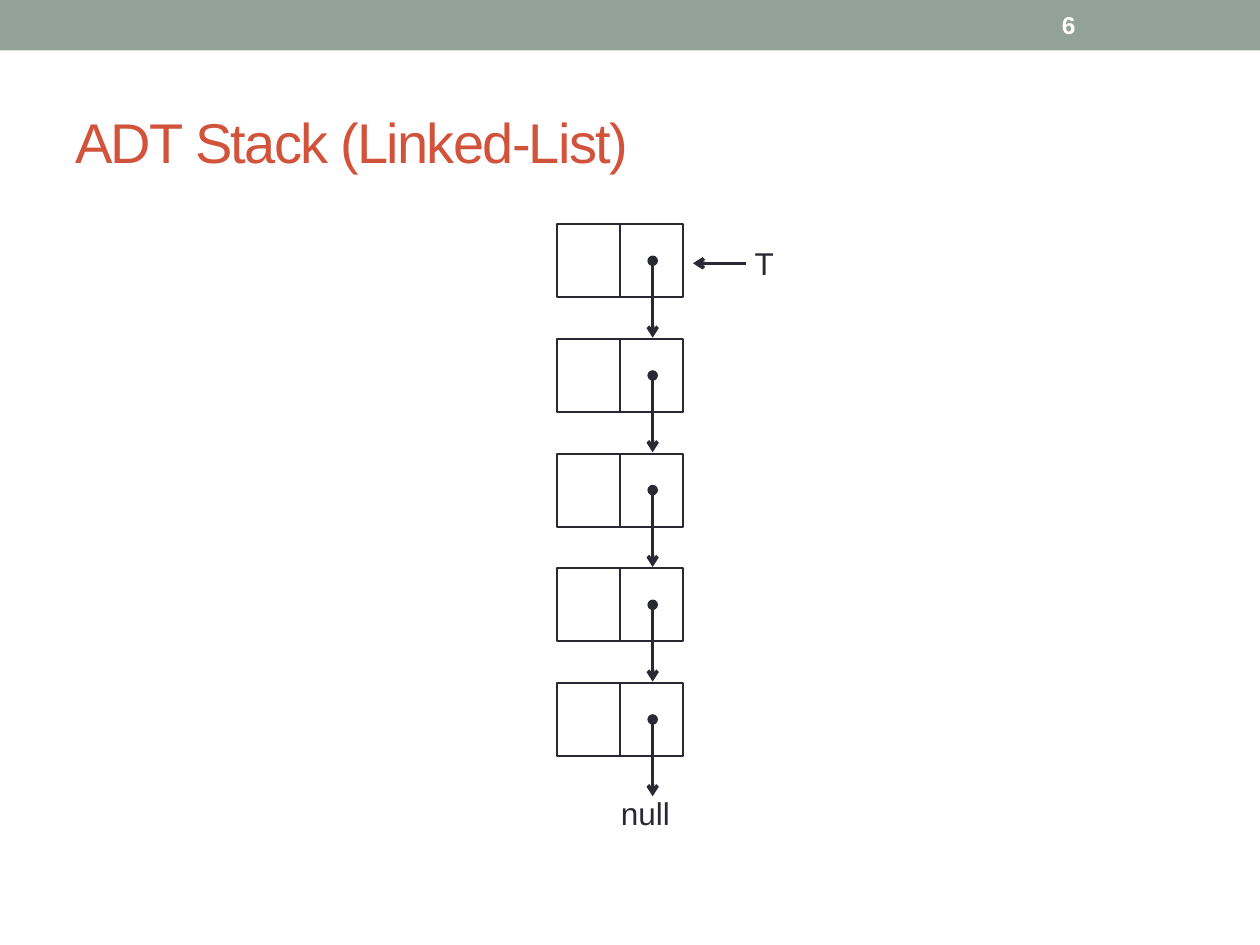
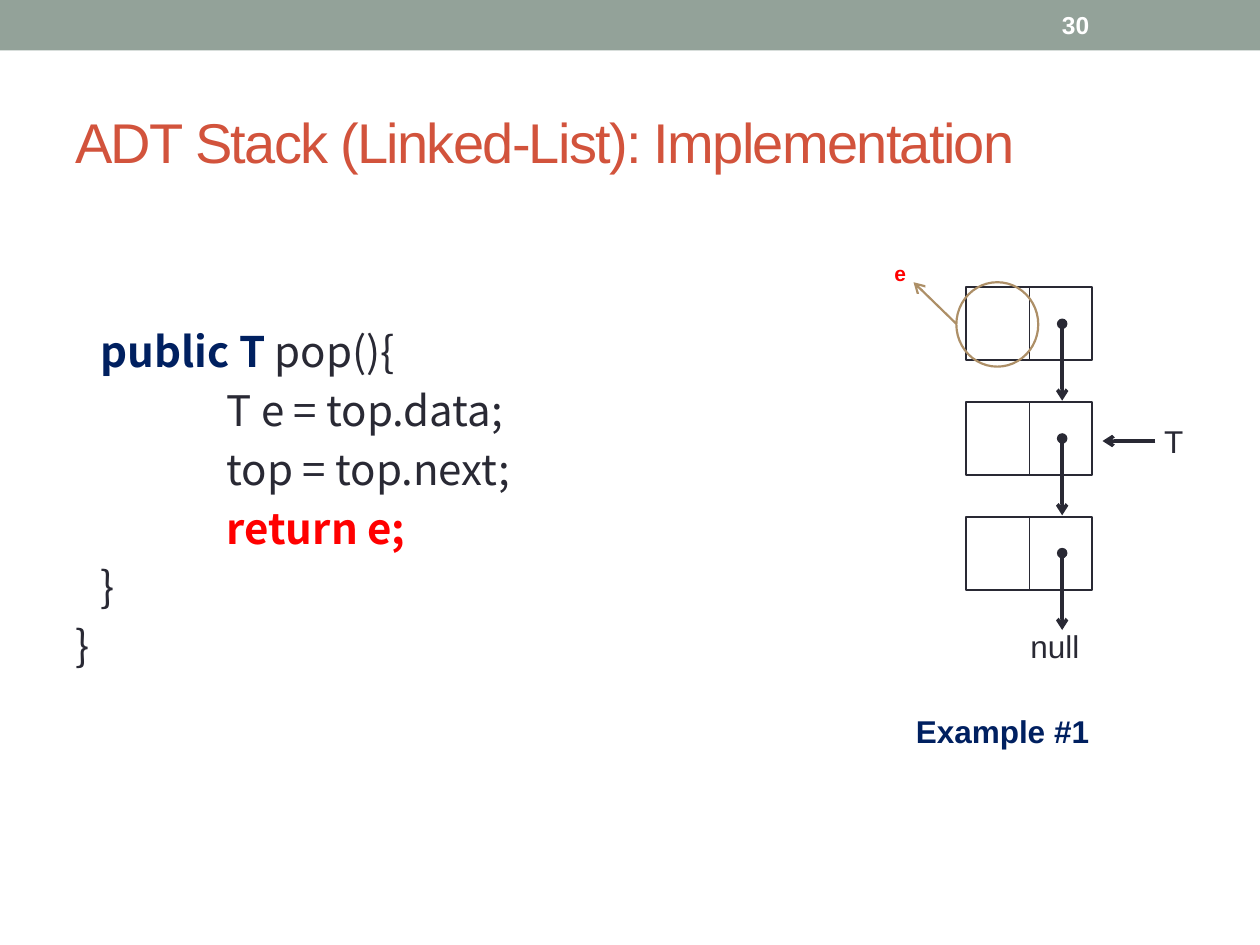
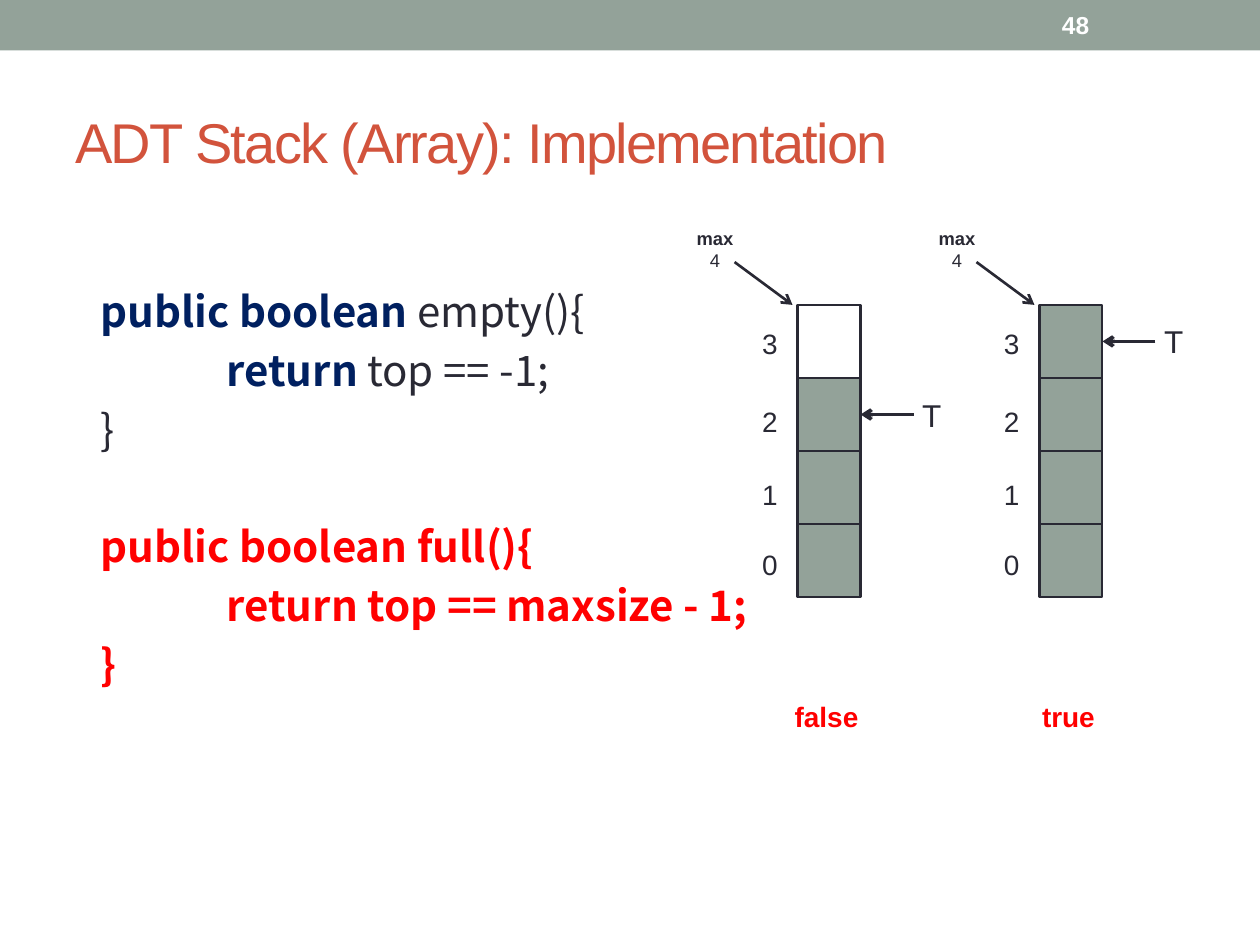
"""Build three slides on the stack ADT as a linked list and as an array."""
from dataclasses import dataclass

import lxml.etree
import pptx
import pptx.dml.color
import pptx.enum.shapes
import pptx.enum.text
import pptx.oxml.ns
import pptx.util

Inches = pptx.util.Inches
Pt = pptx.util.Pt
qn = pptx.oxml.ns.qn
SHAPES = pptx.enum.shapes.MSO_SHAPE
ALIGN = pptx.enum.text.PP_ALIGN
ANCHOR = pptx.enum.text.MSO_ANCHOR

COLORS = {
    "band": "93A299", "title": "D2533C", "ink": "292934", "paper": "FFFFFF",
    "keyword": "002060", "accent": "FF0000", "ring": "AD8F67",
}
TEXT_FONT = "Arial"
CODE_FONT = "Noto Sans CJK SC"
CODE_SIZE = 24
CODE_PITCH = 33.6
NODE_WIDTH, NODE_HEIGHT, NODE_PITCH = 1, 0.58, 0.91
CELL_WIDTH, CELL_HEIGHT = 0.5, 0.58
ARRAY_TOP = 2.42
INDEX_TOPS = (2.54, 3.16, 3.74, 4.3)


@dataclass(frozen=True)
class Run:
    """A stretch of text in one style."""
    text: str
    color: str = "ink"
    bold: bool = False


@dataclass(frozen=True)
class CodeLine:
    """A line of code with its indent in inches and the blank lines above it."""
    indent: float
    runs: tuple[Run, ...]
    gap: int = 0


@dataclass(frozen=True)
class LinkedStack:
    """A column of linked nodes with the top pointer at one of them."""
    left: float
    top: float
    nodes: int
    pointed: int


@dataclass(frozen=True)
class ArrayStack:
    """An array of four cells, its top cell and the answer of full()."""
    left: float
    top_cell: int
    answer: str


def rgb(color: str) -> pptx.dml.color.RGBColor:
    """Return the named colour."""
    return pptx.dml.color.RGBColor.from_string(COLORS[color])


def add_run(paragraph, run: Run, size: float, font: str = TEXT_FONT):
    """Append one styled run to a paragraph."""
    part = paragraph.add_run()
    part.text = run.text
    part.font.name = font
    part.font.size = Pt(size)
    part.font.bold = run.bold
    part.font.color.rgb = rgb(run.color)
    properties = part.font._element
    for tag in ("a:ea", "a:cs"):
        lxml.etree.SubElement(properties, qn(tag)).set("typeface", font)
    return part


def add_frame(slide, left: float, top: float, width: float, height: float, wrap: bool = False):
    """Add an empty text box and return its text frame."""
    box = slide.shapes.add_textbox(Inches(left), Inches(top), Inches(width), Inches(height))
    box.text_frame.word_wrap = wrap
    return box.text_frame


def add_label(slide, left: float, top: float, width: float, height: float,
              size: float, *runs: Run, centred: bool = False) -> None:
    """Add a short label, one line per run."""
    paragraph = add_frame(slide, left, top, width, height).paragraphs[0]
    if centred:
        paragraph.alignment = ALIGN.CENTER
    for index, run in enumerate(runs):
        if index:
            paragraph.add_line_break()
        add_run(paragraph, run, size)


def add_outline(slide, kind, left: float, top: float, width: float, height: float,
                fill: str | None, line: str | None = "ink"):
    """Add a preset shape with a flat fill and a thin outline."""
    shape = slide.shapes.add_shape(kind, Inches(left), Inches(top), Inches(width), Inches(height))
    shape.shadow.inherit = False
    if fill:
        shape.fill.solid()
        shape.fill.fore_color.rgb = rgb(fill)
    else:
        shape.fill.background()
    if line:
        shape.line.color.rgb = rgb(line)
        shape.line.width = Pt(1.25)
    else:
        shape.line.fill.background()
    return shape


def add_line(slide, start: tuple[float, float], end: tuple[float, float], weight: float,
             color: str = "ink", head: str = "", tail: str = ""):
    """Add a straight line with optional ends."""
    line = slide.shapes.add_connector(
        pptx.enum.shapes.MSO_CONNECTOR.STRAIGHT,
        Inches(start[0]), Inches(start[1]), Inches(end[0]), Inches(end[1]))
    line.line.color.rgb = rgb(color)
    line.line.width = Pt(weight)
    stroke = line.line._get_or_add_ln()
    for tag, ending in (("a:headEnd", head), ("a:tailEnd", tail)):
        if ending:
            lxml.etree.SubElement(stroke, qn(tag)).set("type", ending)
    lxml.etree.SubElement(line._element.spPr, qn("a:effectLst"))
    return line


def add_page(deck, title: str, number: int):
    """Add a slide with the band, the title and the number."""
    slide = deck.slides.add_slide(deck.slide_layouts[6])
    add_outline(slide, SHAPES.RECTANGLE, 0, 0, 10, 0.4, "band", None)
    heading = add_frame(slide, 0.5, 0.58, 9, 1.08, wrap=True)
    heading.vertical_anchor = ANCHOR.MIDDLE
    words = add_run(heading.paragraphs[0], Run(title, "title"), 32)
    words.font._element.set("spc", "-100")
    page_number = add_frame(slide, 8.33, 0.02, 1.17, 0.36, wrap=True)
    page_number.vertical_anchor = ANCHOR.MIDDLE
    add_run(page_number.paragraphs[0], Run(str(number), "paper", True), 14)
    return slide


def add_code(slide, top: float, lines: tuple[CodeLine, ...]) -> None:
    """Write lines of code at a fixed pitch."""
    frame = add_frame(slide, 0.5, top, 9, 7.08 - top, wrap=True)
    for index, line in enumerate(lines):
        paragraph = frame.add_paragraph() if index else frame.paragraphs[0]
        paragraph.line_spacing = Pt(CODE_PITCH)
        paragraph.space_before = Pt(CODE_PITCH * line.gap)
        paragraph._p.get_or_add_pPr().set("marL", str(Inches(line.indent)))
        for run in line.runs:
            add_run(paragraph, run, CODE_SIZE, CODE_FONT)


def add_top_pointer(slide, tip: float, tail: float, y: float):
    """Add the arrow marked T that shows the top of a stack."""
    add_label(slide, tail - 0.03, y - 0.2, 0.36, 0.4, 18, Run("T"))
    return add_line(slide, (tail, y), (tip, y), 2, tail="arrow")


def add_linked_stack(slide, stack: LinkedStack) -> None:
    """Draw the nodes, their links, the null end and the top pointer."""
    for index in range(stack.nodes):
        top = stack.top + index * NODE_PITCH
        middle, link = stack.left + NODE_WIDTH / 2, stack.left + 0.76
        node = add_outline(slide, SHAPES.RECTANGLE, stack.left, top,
                           NODE_WIDTH, NODE_HEIGHT, "paper")
        divider = add_line(slide, (middle, top), (middle, top + NODE_HEIGHT), 0.75)
        divider.begin_connect(node, 0)
        divider.end_connect(node, 2)
        add_line(slide, (link, top + 0.29), (link, top + 0.9), 2, head="oval", tail="arrow")
    last_top = stack.top + (stack.nodes - 1) * NODE_PITCH
    add_label(slide, stack.left + 0.41, last_top + 0.83, 0.66, 0.4, 18, Run("null"))
    right = stack.left + NODE_WIDTH
    add_top_pointer(slide, right + 0.08, right + 0.5,
                    stack.top + stack.pointed * NODE_PITCH + 0.31)


def add_array_stack(slide, stack: ArrayStack) -> None:
    """Draw the cells with indices, the maximum, the top pointer and the answer."""
    left, right = stack.left, stack.left + CELL_WIDTH
    for row, index_top in enumerate(INDEX_TOPS):
        index = len(INDEX_TOPS) - 1 - row
        top = ARRAY_TOP + row * CELL_HEIGHT
        cell = add_outline(slide, SHAPES.RECTANGLE, left, top, CELL_WIDTH, CELL_HEIGHT,
                           "band" if index <= stack.top_cell else "paper")
        add_label(slide, left - 0.38, index_top, 0.34, 0.37, 16, Run(str(index)))
        if index == stack.top_cell:
            pointer = add_top_pointer(slide, right, right + 0.42, top + CELL_HEIGHT / 2)
            pointer.end_connect(cell, 3)
    add_line(slide, (left - 0.5, 2.08), (left - 0.04, ARRAY_TOP), 1.5, tail="arrow")
    add_label(slide, left - 0.92, 1.75, 0.53, 0.47, 10.5,
              Run("max", bold=True), Run("4"), centred=True)
    add_label(slide, left - 0.27, 5.5, 1, 0.37, 16,
              Run(stack.answer, "accent", True), centred=True)


def build_linked_list(deck) -> None:
    """Build the slide that shows the linked list."""
    slide = add_page(deck, "ADT Stack (Linked-List)", 6)
    add_linked_stack(slide, LinkedStack(left=4.42, top=1.78, nodes=5, pointed=0))


def build_pop(deck) -> None:
    """Build the slide that shows pop() returning its element."""
    slide = add_page(deck, "ADT Stack (Linked-List): Implementation", 30)
    add_code(slide, 2.47, (
        CodeLine(0.2, (Run("public T", "keyword", True), Run(" pop(){"))),
        CodeLine(1.2, (Run("T e = top.data;"),)),
        CodeLine(1.2, (Run("top = top.next;"),)),
        CodeLine(1.2, (Run("return e;", "accent", True),)),
        CodeLine(0.2, (Run("}"),)),
        CodeLine(0, (Run("}"),)),
    ))
    add_linked_stack(slide, LinkedStack(left=7.67, top=2.28, nodes=3, pointed=1))
    add_outline(slide, SHAPES.OVAL, 7.59, 2.24, 0.65, 0.67, None, "ring")
    add_line(slide, (7.59, 2.57), (7.25, 2.24), 1.25, "ring", tail="arrow")
    add_label(slide, 7, 2.02, 0.25, 0.3, 12, Run("e", "accent", True))
    add_label(slide, 7.17, 5.6, 1.64, 0.4, 18, Run("Example #1", "keyword", True))


def build_full(deck) -> None:
    """Build the slide that shows empty() and full() on an array."""
    slide = add_page(deck, "ADT Stack (Array): Implementation", 48)
    add_code(slide, 2.15, (
        CodeLine(0.2, (Run("public boolean ", "keyword", True), Run("empty(){"))),
        CodeLine(1.2, (Run("return", "keyword", True), Run(" top == -1;"))),
        CodeLine(0.2, (Run("}"),)),
        CodeLine(0.2, (Run("public boolean full(){", "accent", True),), gap=1),
        CodeLine(1.2, (Run("return top == maxsize - 1;", "accent", True),)),
        CodeLine(0.2, (Run("}", "accent", True),)),
    ))
    for stack in (ArrayStack(8.25, 3, "true"), ArrayStack(6.33, 2, "false")):
        add_array_stack(slide, stack)


def main() -> None:
    """Build and save the deck."""
    deck = pptx.Presentation()
    deck.slide_width, deck.slide_height = Inches(10), Inches(7.5)
    build_linked_list(deck)
    build_pop(deck)
    build_full(deck)
    deck.save("out.pptx")


if __name__ == "__main__":
    main()
